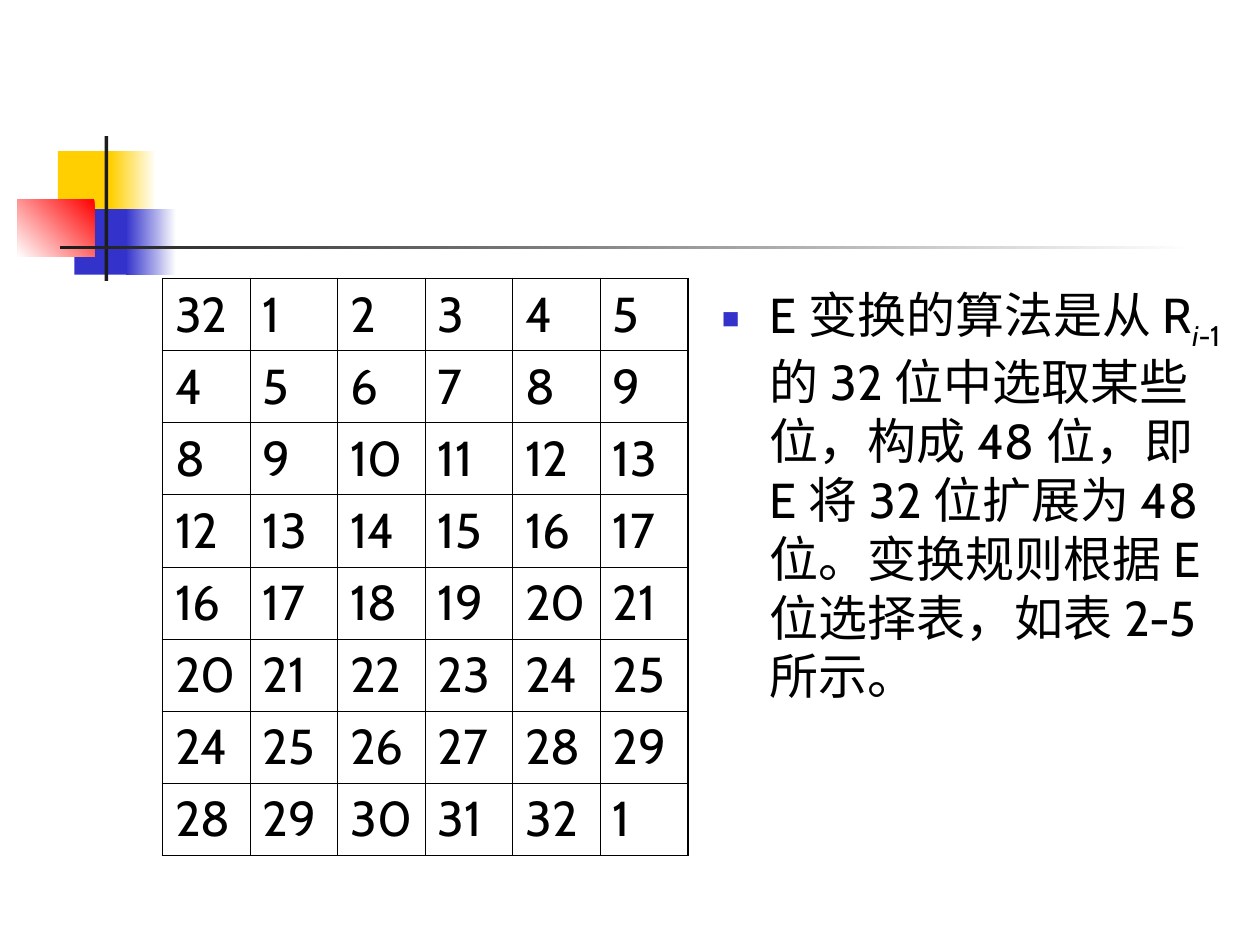
from lxml import etree
from pptx import Presentation
from pptx import util as u
from pptx.dml.color import RGBColor
from pptx.enum import lang, shapes, text
from pptx.oxml import ns

YELLOW = RGBColor(0xFF, 0xCF, 0x01)
BLUE = RGBColor(0x33, 0x33, 0xCC)
RED = RGBColor(0xFF, 0x00, 0x00)
DARK = RGBColor(0x1C, 0x1C, 0x1C)
BLACK = RGBColor(0x00, 0x00, 0x00)
WHITE = RGBColor(0xFF, 0xFF, 0xFF)

ROWS, COLUMNS = 8, 6
OUTER_WIDTH, INNER_WIDTH = 1.08, 0.45
RULE_TEXT = [
    ("E变换的算法是从R", 0, False),
    ("i", -25, True),
    ("-1", -25, False),
    ("的32位中选取某些位，构成48位，即E将32位扩展为48位。变换规则根据E位选择表，如表2-5所示。", 0, False),
]


class SlideBuilder:
    """Hold the text style and the slide being built."""

    font_format = {
        "name": "Cabin",
        "size": u.Pt(28),
        "language_id": lang.MSO_LANGUAGE_ID.SIMPLIFIED_CHINESE,
    }

    def __init__(self, slide):
        self.slide = slide

    def add_run(self, paragraph, words, baseline=0, italic=False):
        run = paragraph.add_run()
        run.text = words
        for name, value in {**self.font_format, "italic": italic}.items():
            setattr(run.font, name, value)
        run.font.color.rgb = BLACK
        if baseline:
            run.font._element.set("baseline", str(baseline * 1000))

    def add_block(self, box, *colors, angle=180):
        shape = self.slide.shapes.add_shape(
            shapes.MSO_SHAPE.RECTANGLE, *map(u.Inches, box)
        )
        shape.shadow.inherit = False
        shape.line.fill.background()
        if len(colors) == 1:
            shape.fill.solid()
            shape.fill.fore_color.rgb = colors[0]
            return
        shape.fill.gradient()
        shape.fill.gradient_angle = angle
        for stop, color in zip(shape.fill.gradient_stops, colors):
            stop.color.rgb = color

    def add_border(self, cell, side, width):
        properties = cell._tc.get_or_add_tcPr()
        line = etree.SubElement(
            properties, ns.qn(f"a:ln{side}"), w=str(u.Pt(width))
        )
        fill = etree.SubElement(line, ns.qn("a:solidFill"))
        etree.SubElement(fill, ns.qn("a:srgbClr"), val=str(BLACK))

    def add_selection_table(self, box):
        table = self.slide.shapes.add_table(
            ROWS, COLUMNS, *map(u.Inches, box)
        ).table
        table.first_row = table.horz_banding = False
        for row in range(ROWS):
            for column in range(COLUMNS):
                cell = table.cell(row, column)
                bit = (4 * row + column - 1) % 32 + 1
                self.add_run(cell.text_frame.paragraphs[0], str(bit))
                outer_sides = {
                    "L": column == 0,
                    "R": column == COLUMNS - 1,
                    "T": row == 0,
                    "B": row == ROWS - 1,
                }
                for side, outer in outer_sides.items():
                    self.add_border(cell, side, OUTER_WIDTH if outer else INNER_WIDTH)
                cell.fill.background()

    def fill_body(self, box, runs):
        body = self.slide.placeholders[1]
        for name, value in zip(("left", "top", "width", "height"), box):
            setattr(body, name, u.Inches(value))
        frame = body.text_frame
        frame.word_wrap = True
        frame.auto_size = text.MSO_AUTO_SIZE.NONE
        paragraph = frame.paragraphs[0]
        properties = paragraph._p.get_or_add_pPr()
        properties.set("marL", str(u.Inches(0.38)))
        properties.set("indent", str(u.Inches(-0.38)))
        bullet_color = etree.SubElement(properties, ns.qn("a:buClr"))
        etree.SubElement(bullet_color, ns.qn("a:srgbClr"), val=str(BLUE))
        etree.SubElement(properties, ns.qn("a:buSzPct"), val="60000")
        etree.SubElement(properties, ns.qn("a:buChar"), char="■")
        paragraph.space_before = u.Pt(0)
        for words, baseline, italic in runs:
            self.add_run(paragraph, words, baseline, italic)


def main():
    presentation = Presentation()
    presentation.slide_width, presentation.slide_height = u.Inches(10), u.Inches(7.5)
    slide = presentation.slides.add_slide(presentation.slide_layouts[1])
    title = slide.shapes.title
    title._element.getparent().remove(title._element)

    builder = SlideBuilder(slide)
    builder.add_block((0.46, 1.2, 0.48, 0.52), YELLOW)
    builder.add_block((0.88, 1.2, 0.36, 0.52), WHITE, YELLOW)
    builder.add_block((0.59, 1.66, 0.46, 0.52), BLUE)
    builder.add_block((1, 1.66, 0.4, 0.52), WHITE, BLUE)
    builder.add_block((0.14, 1.58, 0.61, 0.46), RED, WHITE, angle=225)
    builder.add_block((0.83, 1.08, 0.03, 1.15), DARK)
    builder.add_block((0.48, 1.95, 9, 0.03), WHITE, DARK)
    builder.add_selection_table((1.29, 2.21, 4.17, 4.53))
    builder.fill_body((5.63, 2.21, 4.17, 4.5), RULE_TEXT)
    presentation.save("out.pptx")


if __name__ == "__main__":
    main()
